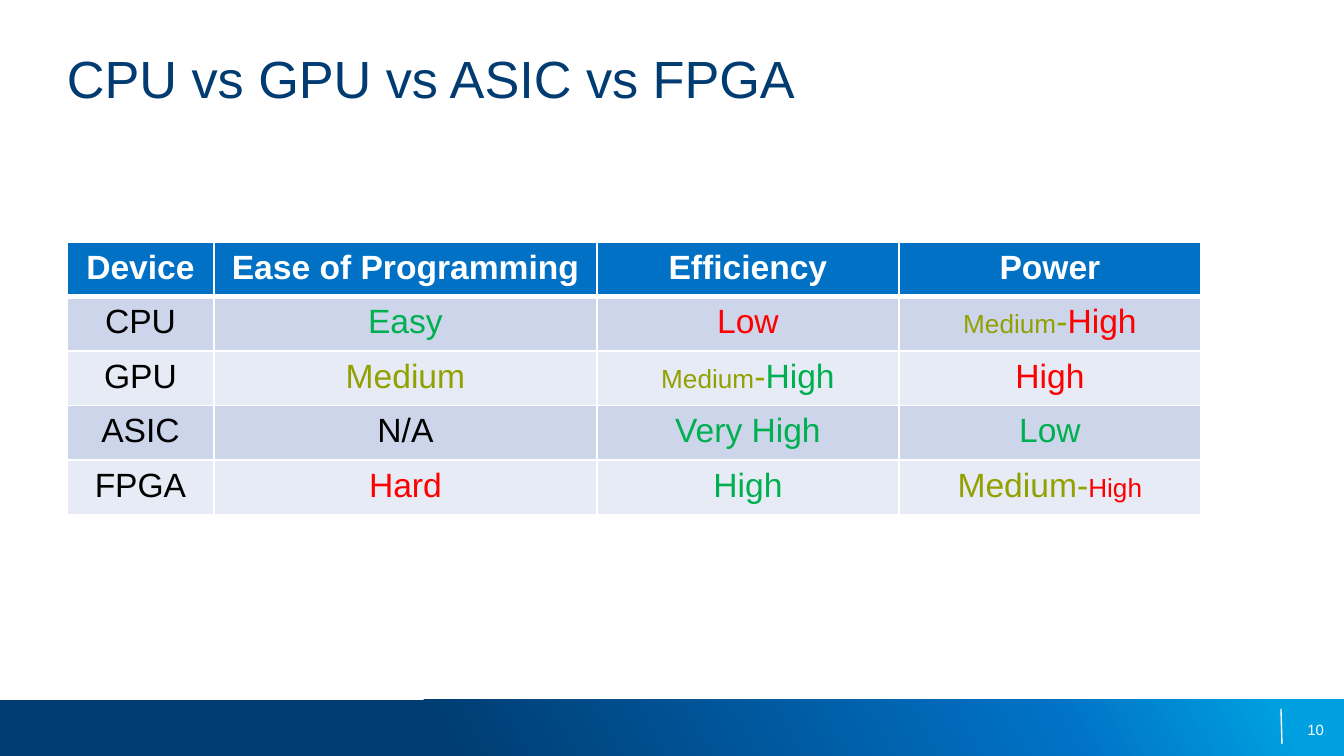
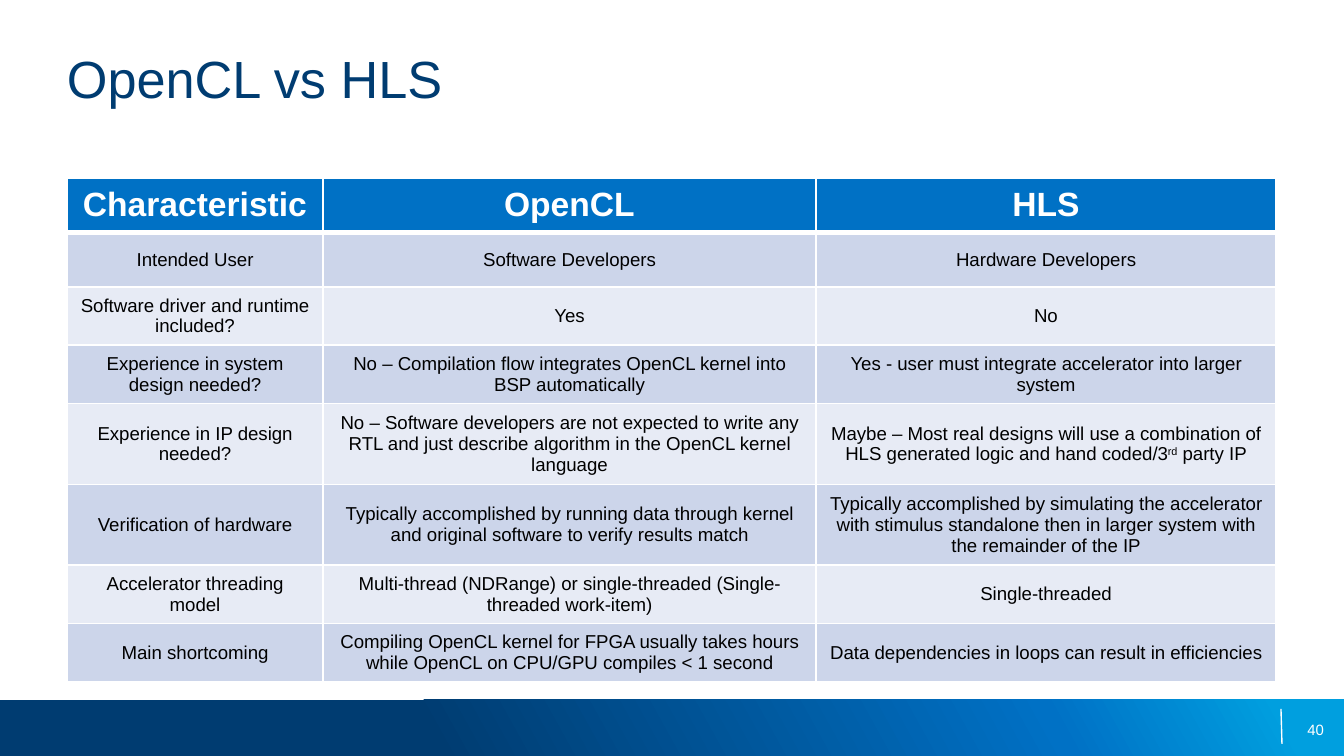
from copy import deepcopy

from pptx import Presentation
from pptx import util as u
from pptx.dml.color import RGBColor
from pptx.enum import shapes, text
from pptx.oxml import parse_xml
from pptx.oxml.ns import nsdecls, qn

NAVY = RGBColor(0x00, 0x3C, 0x71)
BLUE = RGBColor(0x00, 0x71, 0xC5)
SKY = RGBColor(0x00, 0x9F, 0xDF)
WHITE = RGBColor(0xFF, 0xFF, 0xFF)
BLACK = RGBColor(0x00, 0x00, 0x00)
GREEN = RGBColor(0x00, 0xB0, 0x50)
RED = RGBColor(0xFF, 0x00, 0x00)
OLIVE = RGBColor(0x92, 0xA0, 0x00)
BANDS = RGBColor(0xCC, 0xD5, 0xEA), RGBColor(0xE7, 0xEB, 0xF5)

FONT = "Arial"
PX = 914400 / 134.4
WIDE, HIGH = 1344, 756
LEFT = 67
CENTER, RIGHT = text.PP_ALIGN.CENTER, text.PP_ALIGN.RIGHT
TOP, MIDDLE = text.MSO_ANCHOR.TOP, text.MSO_ANCHOR.MIDDLE

# Content: a cell is a string or a list of (text, format) runs
EASY, HARD = [("Easy", {"color": GREEN})], [("Hard", {"color": RED})]
MEDIUM = [("Medium", {"color": OLIVE})]
SMALL = [("Medium", {"color": OLIVE, "size": 14}), ("-", {"color": OLIVE})]
GOOD, BAD = [("High", {"color": GREEN})], [("High", {"color": RED})]

SLIDES = [
    {
        "title": "CPU vs GPU vs ASIC vs FPGA",
        "page": 10,
        "top": 242,
        "high": 273,
        "cols": [147, 383, 302, 302],
        "size": 18,
        "anchor": TOP,
        "rows": [
            ["Device", "Ease of Programming", "Efficiency", "Power"],
            ["CPU", EASY, [("Low", {"color": RED})], SMALL + BAD],
            ["GPU", MEDIUM, SMALL + GOOD, BAD],
            ["ASIC", "N/A", [("Very High", {"color": GREEN})],
             [("Low", {"color": GREEN})]],
            ["FPGA", HARD, GOOD,
             [("Medium-", {"color": OLIVE}),
              ("High", {"color": RED, "size": 14})]],
        ],
    },
    {
        "title": "OpenCL vs HLS",
        "page": 40,
        "top": 178,
        "high": 436,
        "cols": [256, 493, 460],
        "size": 10,
        "anchor": MIDDLE,
        "rows": [
            ["Characteristic", "OpenCL", "HLS"],
            ["Intended User", "Software Developers", "Hardware Developers"],
            ["Software driver and runtime included?", "Yes", "No"],
            ["Experience in system design needed?",
             "No – Compilation flow integrates OpenCL kernel into BSP "
             "automatically",
             "Yes - user must integrate accelerator into larger system"],
            ["Experience in IP design needed?",
             "No – Software developers are not expected to write any RTL and "
             "just describe algorithm in the OpenCL kernel language",
             [("Maybe – Most real designs will use a combination of HLS "
               "generated logic and hand coded/3", {}),
              ("rd", {"base": 30}), (" party IP", {})]],
            ["Verification of hardware",
             "Typically accomplished by running data through kernel and "
             "original software to verify results match",
             "Typically accomplished by simulating the accelerator with "
             "stimulus standalone then in larger system with the remainder "
             "of the IP"],
            ["Accelerator threading model",
             "Multi-thread (NDRange) or single-threaded (Single-threaded "
             "work-item)",
             "Single-threaded"],
            ["Main shortcoming",
             "Compiling OpenCL kernel for FPGA usually takes hours while "
             "OpenCL on CPU/GPU compiles < 1 second",
             "Data dependencies in loops can result in efficiencies"],
        ],
    },
]


def px(*nums):
    return [u.Emu(round(n * PX)) for n in nums]


def write(frame, runs, size=18, color=BLACK, bold=False, align=None):
    """Fill the first paragraph; each run may override size, color or base."""
    para = frame.paragraphs[0]
    para.alignment = align
    if isinstance(runs, str):
        runs = [(runs, {})]
    for words, look in runs:
        run = para.add_run()
        run.text = words
        run.font.name = FONT
        run.font.size = u.Pt(look.get("size", size))
        run.font.bold = bold
        run.font.color.rgb = look.get("color", color)
        if "base" in look:
            run.font._element.set("baseline", str(look["base"] * 1000))


def label(slide, box, words, anchor=TOP, **look):
    frame = slide.shapes.add_textbox(*px(*box)).text_frame
    frame.word_wrap = True
    frame.vertical_anchor = anchor
    frame.margin_left = frame.margin_right = 0
    frame.margin_top = frame.margin_bottom = 0
    write(frame, words, **look)


def footer(slide, page):
    # Gradient band
    band = slide.shapes.add_shape(
        shapes.MSO_SHAPE.RECTANGLE, *px(0, 700, WIDE, 56))
    band.shadow.inherit = False
    band.line.fill.background()
    band.fill.gradient()
    band.fill.gradient_angle = 29
    stops = band._element.spPr.find(".//" + qn("a:gsLst"))
    stops.append(deepcopy(stops[0]))
    tints = (0.32, NAVY), (0.78, BLUE), (0.95, SKY)
    for stop, (pos, color) in zip(band.fill.gradient_stops, tints):
        stop.position = pos
        stop.color.rgb = color

    # Rule and page number
    rule = slide.shapes.add_connector(
        shapes.MSO_CONNECTOR.STRAIGHT, *px(1281, 709, 1282, 744))
    rule.line.color.rgb = WHITE
    rule.line.width = u.Pt(0.75)
    rule._element.spPr.append(parse_xml(f"<a:effectLst {nsdecls('a')}/>"))
    label(slide, (1011, 709, 313, 41), str(page), anchor=MIDDLE,
          size=8, color=WHITE, align=RIGHT)


def border(cell, row):
    widths = {"L": 1, "R": 1, "T": 3 if row == 1 else 1,
              "B": 3 if row == 0 else 1}
    props = cell._tc.get_or_add_tcPr()
    for side, width in widths.items():
        props.append(parse_xml(
            f'<a:ln{side} {nsdecls("a")} w="{u.Pt(width)}"><a:solidFill>'
            f'<a:srgbClr val="{WHITE}"/></a:solidFill></a:ln{side}>'))


def grid(slide, data):
    rows, cols = data["rows"], data["cols"]
    box = px(LEFT, data["top"], sum(cols), data["high"])
    table = slide.shapes.add_table(len(rows), len(cols), *box).table
    for col, wide in zip(table.columns, px(*cols)):
        col.width = wide
    for r, row in enumerate(rows):
        head = r == 0
        for c, words in enumerate(row):
            cell = table.cell(r, c)
            border(cell, r)
            cell.fill.solid()
            cell.fill.fore_color.rgb = BLUE if head else BANDS[(r - 1) % 2]
            cell.vertical_anchor = data["anchor"]
            write(cell.text_frame, words, size=18 if head else data["size"],
                  color=WHITE if head else BLACK, bold=head, align=CENTER)


def main():
    deck = Presentation()
    deck.slide_width, deck.slide_height = px(WIDE, HIGH)
    for data in SLIDES:
        slide = deck.slides.add_slide(deck.slide_layouts[6])
        footer(slide, data["page"])
        label(slide, (LEFT, 46, 1210, 128), data["title"],
              size=28, color=NAVY)
        grid(slide, data)
    deck.save("out.pptx")


if __name__ == "__main__":
    main()
